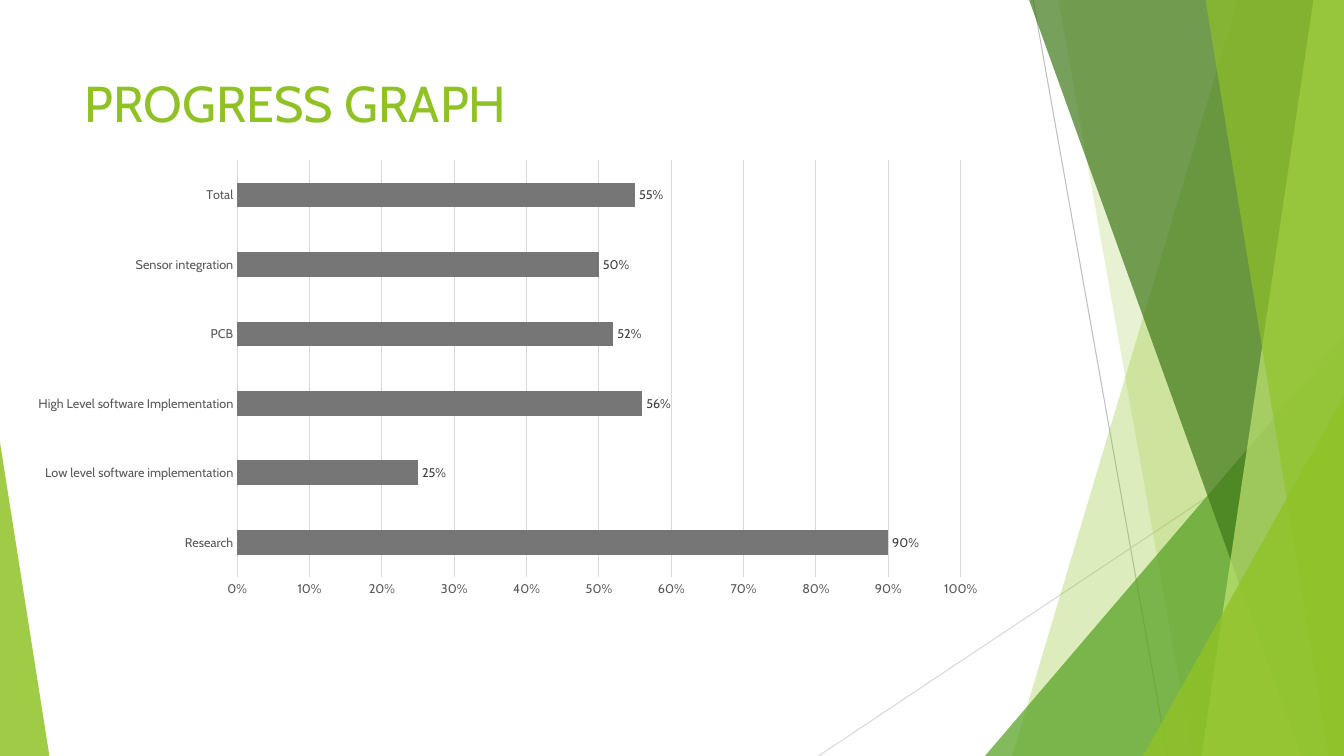
from lxml import etree
from pptx import Presentation
from pptx.chart import data
from pptx.dml.color import RGBColor
from pptx.enum import chart as charts, shapes, text
from pptx.oxml import ns, parse_xml
from pptx.util import Pt

WIDTH, HEIGHT = 960, 540
FONT = "Cabin"
LIME = RGBColor(0x90, 0xC2, 0x26)
GREEN = RGBColor(0x54, 0xA0, 0x21)
FOREST = RGBColor(0x3F, 0x78, 0x19)
PALE_LIME = RGBColor(0xC0, 0xE4, 0x74)
SILVER = RGBColor(0xBF, 0xBF, 0xBF)
LIGHT_GRAY = RGBColor(0xD9, 0xD9, 0xD9)
BAR_GRAY = RGBColor(0x76, 0x76, 0x76)
AXIS_GRAY = RGBColor(0x59, 0x59, 0x59)
LABEL_GRAY = RGBColor(0x40, 0x40, 0x40)
PROGRESS = {
    "Research": 0.9,
    "Low level software implementation": 0.25,
    "High Level software Implementation": 0.56,
    "PCB": 0.52,
    "Sensor integration": 0.5,
    "Total": 0.55,
}
PLOT_LAYOUT = {"x": 0.223, "y": 0.02, "w": 0.74, "h": 0.917}


def paint(shape, color, opacity):
    """Give a shape a translucent fill without line or shadow."""
    shape.shadow.inherit = False
    shape.line.fill.background()
    shape.fill.solid()
    shape.fill.fore_color.rgb = color
    tint = shape.fill._xPr.find(".//" + ns.qn("a:srgbClr"))
    etree.SubElement(tint, ns.qn("a:alpha")).set("val", str(opacity * 1000))


def add_hairline(page, start, end, color):
    """Draw a thin straight line between two points."""
    line = page.shapes.add_connector(
        shapes.MSO_CONNECTOR.STRAIGHT, *map(Pt, start + end))
    line.line.color.rgb = color
    line.line.width = Pt(0.75)
    etree.SubElement(line._element.spPr, ns.qn("a:effectLst"))


def add_band(page, top_x, bottom_x, color, opacity):
    """Draw a full-height band from a slanted edge to the right side."""
    builder = page.shapes.build_freeform(Pt(top_x), 0)
    corners = [(WIDTH, 0), (WIDTH, HEIGHT), (bottom_x, HEIGHT)]
    builder.add_line_segments([(Pt(x), Pt(y)) for x, y in corners])
    paint(builder.convert_to_shape(), color, opacity)


def add_corner(page, left, top, width, apex, color, opacity):
    """Draw a right triangle standing on the bottom edge."""
    corner = page.shapes.add_shape(
        shapes.MSO_SHAPE.ISOSCELES_TRIANGLE,
        Pt(left), Pt(top), Pt(width), Pt(HEIGHT - top))
    corner.adjustments[0] = apex
    paint(corner, color, opacity)


def add_title(page, words):
    """Add the slide heading."""
    box = page.shapes.add_textbox(Pt(53.3), Pt(48), Pt(676.7), Pt(104))
    frame = box.text_frame
    frame.word_wrap = True
    frame.vertical_anchor = text.MSO_ANCHOR.TOP
    frame.text = words
    style_font(frame.paragraphs[0].runs[0].font, 36, LIME)


def style_font(font, size, color):
    """Set typeface, size and colour of a font."""
    font.name = FONT
    font.size = Pt(size)
    font.color.rgb = color


def style_axis(axis):
    """Set the look shared by both chart axes."""
    style_font(axis.tick_labels.font, 9, AXIS_GRAY)
    axis.major_tick_mark = charts.XL_TICK_MARK.NONE
    axis.minor_tick_mark = charts.XL_TICK_MARK.NONE


def style_rule(line):
    """Set the look shared by axis line and gridlines."""
    line.color.rgb = LIGHT_GRAY
    line.width = Pt(0.75)


def place_plot(chart):
    """Fix the inner plot area within the chart frame."""
    area = chart._chartSpace.chart.plotArea
    for old in area.findall(ns.qn("c:layout")):
        area.remove(old)
    modes = "".join(f'<c:{axis}Mode val="edge"/>' for axis in "xy")
    sizes = "".join(f'<c:{key} val="{value}"/>'
                    for key, value in PLOT_LAYOUT.items())
    area.insert(0, parse_xml(
        f'<c:layout {ns.nsdecls("c")}><c:manualLayout>'
        f'<c:layoutTarget val="inner"/>{modes}{sizes}'
        '</c:manualLayout></c:layout>'))


def add_progress_chart(page):
    """Add the bar chart of completed shares."""
    values = data.CategoryChartData(number_format="0%")
    values.categories = list(PROGRESS)
    values.add_series("Series 1", list(PROGRESS.values()))
    chart = page.shapes.add_chart(
        charts.XL_CHART_TYPE.BAR_CLUSTERED,
        Pt(13.7), Pt(108), Pt(698.4), Pt(324.7), values).chart
    chart.has_legend = False
    chart.has_title = False
    chart.font.name = FONT
    chart.font.size = Pt(10)
    place_plot(chart)

    style_axis(chart.category_axis)
    style_rule(chart.category_axis.format.line)
    scale = chart.value_axis
    style_axis(scale)
    scale.minimum_scale, scale.maximum_scale, scale.major_unit = 0, 1, 0.1
    scale.tick_labels.number_format = "0%"
    scale.tick_labels.number_format_is_linked = False
    scale.format.line.fill.background()
    style_rule(scale.major_gridlines.format.line)

    plot = chart.plots[0]
    plot.gap_width = 182
    plot.vary_by_categories = False
    bars = plot.series[0]
    bars.format.fill.solid()
    bars.format.fill.fore_color.rgb = BAR_GRAY
    labels = bars.data_labels
    labels.show_value = True
    labels.number_format = "0%"
    labels.number_format_is_linked = False
    labels.position = charts.XL_LABEL_POSITION.OUTSIDE_END
    style_font(labels.font, 9, LABEL_GRAY)


def add_backdrop(page):
    """Draw the overlapping green facets and hairlines."""
    add_hairline(page, (738, 0), (834, HEIGHT), SILVER)
    add_hairline(page, (WIDTH, 290), (584.6, HEIGHT), LIGHT_GRAY)
    add_band(page, 884.2, 723, LIME, 30)
    add_band(page, 756, 851.8, LIME, 20)
    add_corner(page, 703.5, 240, 256.5, 1, GREEN, 72)
    add_band(page, 735.1, 929.5, FOREST, 70)
    add_band(page, 938.2, 858.2, PALE_LIME, 70)
    add_band(page, 861.1, 949, LIME, 65)
    add_corner(page, 816.5, 283, 143.5, 1, LIME, 80)
    add_corner(page, 0, 316, 35.3, 0, LIME, 85)


def main():
    """Build and save the progress slide."""
    deck = Presentation()
    deck.slide_width, deck.slide_height = Pt(WIDTH), Pt(HEIGHT)
    page = deck.slides.add_slide(deck.slide_layouts[6])
    add_backdrop(page)
    add_title(page, "PROGRESS GRAPH")
    add_progress_chart(page)
    deck.save("out.pptx")


if __name__ == "__main__":
    main()
